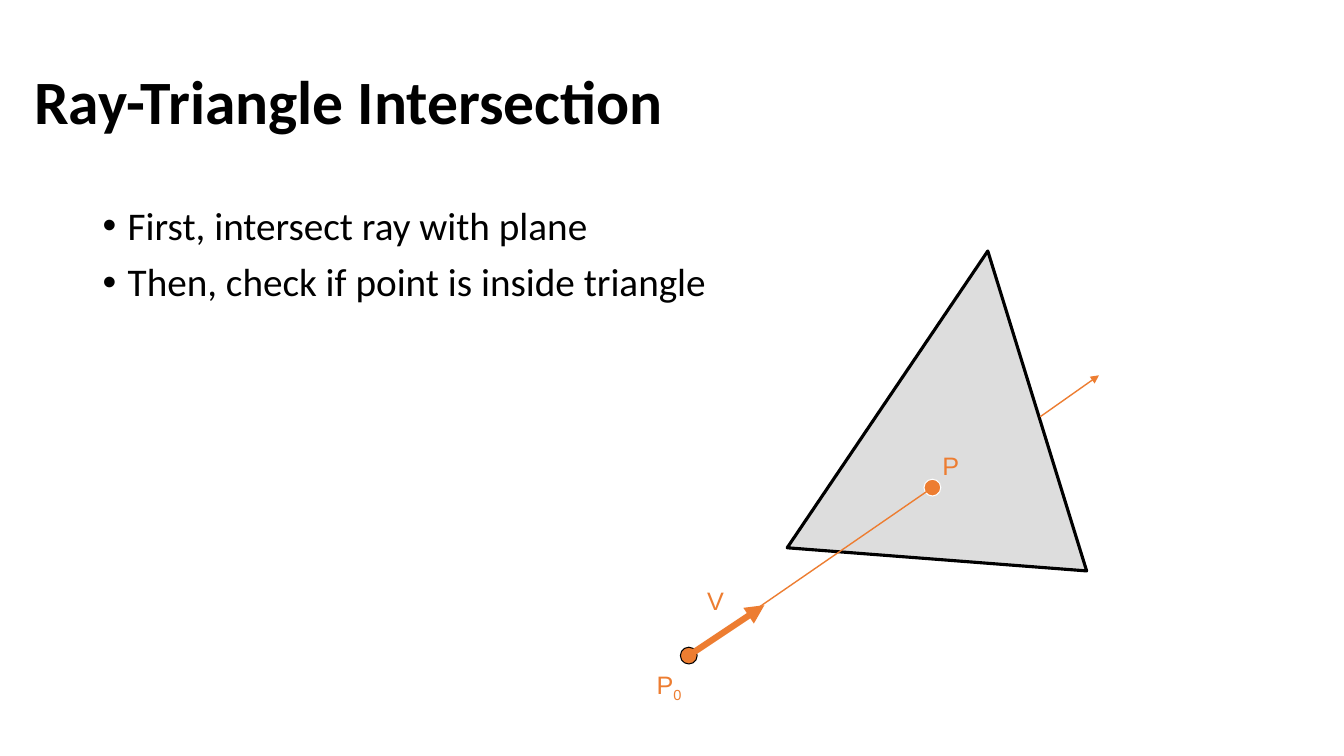
from dataclasses import dataclass

from lxml.etree import SubElement
from pptx import Presentation
from pptx.dml.color import RGBColor
from pptx.enum.shapes import MSO_CONNECTOR, MSO_SHAPE
from pptx.enum.text import MSO_ANCHOR, MSO_AUTO_SIZE, PP_ALIGN
from pptx.oxml.ns import qn
from pptx.util import Pt


@dataclass(frozen=True)
class Theme:
    """Colours, fonts and type sizes of the slide."""
    ink: RGBColor = RGBColor(0, 0, 0)
    paper: RGBColor = RGBColor(255, 255, 255)
    ray: RGBColor = RGBColor(0xED, 0x7D, 0x31)
    face: RGBColor = RGBColor(0xDD, 0xDD, 0xDD)
    text_font: str = "Calibri"
    label_font: str = "Arial"
    title_size: int = 44
    body_size: int = 28
    label_size: int = 18


THEME = Theme()


@dataclass(frozen=True)
class Box:
    """A region of the slide, in points."""
    left: float
    top: float
    width: float
    height: float

    def lengths(self):
        """Return the four measures as lengths."""
        return Pt(self.left), Pt(self.top), Pt(self.width), Pt(self.height)

    def spot(self, point):
        """Return the slide position of a point inside the box."""
        return Pt(self.left + point[0]), Pt(self.top + point[1])


def add_span(para, text, font, size, color, bold=False):
    """Append one formatted run to a paragraph."""
    span = para.add_run()
    span.text = text
    span.font.name, span.font.size, span.font.bold = font, Pt(size), bold
    span.font.color.rgb = color
    return span


def add_title(page, box, text):
    """Fill the title placeholder and fit it to the box."""
    title = page.shapes.title
    title.left, title.top, title.width, title.height = box.lengths()
    title.text_frame.vertical_anchor = MSO_ANCHOR.MIDDLE
    para = title.text_frame.paragraphs[0]
    para.alignment, para.line_spacing = PP_ALIGN.LEFT, 0.9
    add_span(para, text, THEME.text_font, THEME.title_size, THEME.ink, bold=True)


def add_bullets(page, box, lines):
    """Write a bulleted list in the box."""
    frame = page.shapes.add_textbox(*box.lengths()).text_frame
    frame.word_wrap = True
    for index, text in enumerate(lines):
        para = frame.add_paragraph() if index else frame.paragraphs[0]
        para.line_spacing, para.space_before = 0.9, Pt(10)
        properties = para._p.get_or_add_pPr()
        properties.set("marL", str(Pt(18)))
        properties.set("indent", str(Pt(-18)))
        SubElement(properties, qn("a:buFont"), typeface="Arial")
        SubElement(properties, qn("a:buChar"), char="•")
        add_span(para, text, THEME.text_font, THEME.body_size, THEME.ink)


def paint(shape, fill, outline, weight):
    """Give a shape a flat fill and an outline."""
    shape.shadow.inherit = False
    shape.fill.solid()
    shape.fill.fore_color.rgb = fill
    shape.line.color.rgb = outline
    shape.line.width = Pt(weight)


def add_triangle(page, box, corners):
    """Draw the closed triangle through its corners."""
    first, *others = [box.spot(corner) for corner in corners]
    builder = page.shapes.build_freeform(*first, scale=1.0)
    builder.add_line_segments(others, close=True)
    paint(builder.convert_to_shape(), THEME.face, THEME.ink, 2.25)


def add_dot(page, box, center, outline, diameter=12):
    """Draw a ray-coloured dot around its centre."""
    left, top = box.spot([value - diameter / 2 for value in center])
    dot = page.shapes.add_shape(MSO_SHAPE.OVAL, left, top, Pt(diameter), Pt(diameter))
    paint(dot, THEME.ray, outline, 0.75)


def add_ray(page, box, start, end, weight=1, arrow=False):
    """Draw a piece of the ray, with an arrowhead if asked."""
    ray = page.shapes.add_connector(MSO_CONNECTOR.STRAIGHT, *box.spot(start), *box.spot(end))
    ray.line.color.rgb = THEME.ray
    ray.line.width = Pt(weight)
    if arrow:
        SubElement(ray.line._get_or_add_ln(), qn("a:tailEnd"), type="triangle")
    SubElement(ray._element.spPr, qn("a:effectLst"))


def add_label(page, box, corner, text, subscript="", width=26.6):
    """Name a point or vector, with an optional subscript."""
    frame = page.shapes.add_textbox(*box.spot(corner), Pt(width), Pt(28.8)).text_frame
    frame.word_wrap = False
    frame.auto_size = MSO_AUTO_SIZE.SHAPE_TO_FIT_TEXT
    para = frame.paragraphs[0]
    style = THEME.label_font, THEME.label_size, THEME.ray
    add_span(para, text, *style)
    if subscript:
        span = add_span(para, subscript, *style)
        span.font._element.set("baseline", "-25000")


def add_diagram(page, box):
    """Draw the ray passing through the triangle."""
    origin, hit, tip = (30, 289), (204, 169), (84, 253)
    add_triangle(page, box, [(243.6, 0), (314.2, 228.5), (100.3, 212)])
    add_dot(page, box, origin, THEME.ink)
    add_ray(page, box, (281, 118.4), (323, 88.8), arrow=True)
    add_dot(page, box, hit, THEME.paper)
    add_label(page, box, (204, 139), "P")
    add_ray(page, box, origin, hit)
    add_label(page, box, (0, 295), "P", subscript="0", width=33)
    add_ray(page, box, origin, tip, weight=4.5, arrow=True)
    add_label(page, box, (36, 235), "V")


def main():
    """Build the slide and save it."""
    deck = Presentation()
    deck.slide_width, deck.slide_height = Pt(960), Pt(540)
    page = deck.slides.add_slide(deck.slide_layouts[5])
    add_title(page, Box(17.3, 22.3, 828, 104.4), "Ray-Triangle Intersection")
    add_bullets(page, Box(66.2, 144, 828, 342.7), [
        "First, intersect ray with plane",
        "Then, check if point is inside triangle",
    ])
    add_diagram(page, Box(462, 179.3, 323, 324))
    deck.save("out.pptx")


if __name__ == "__main__":
    main()
